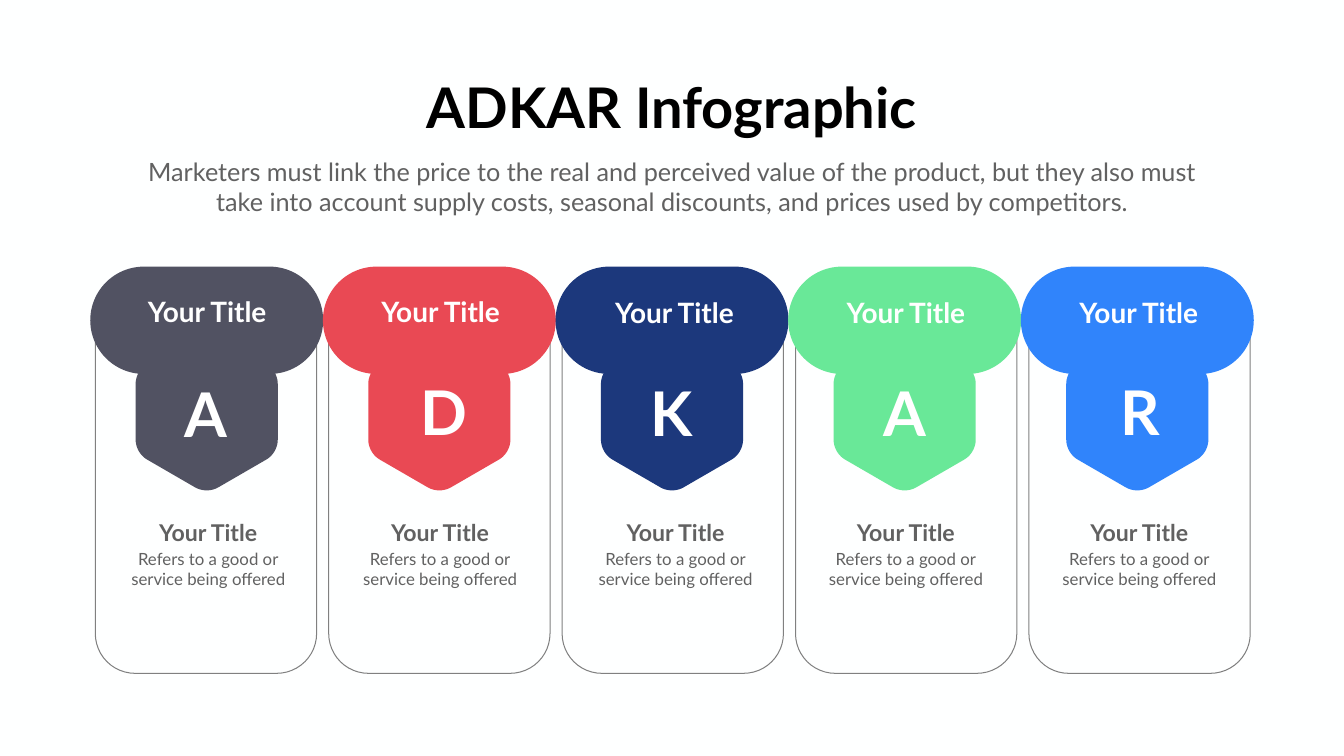
import pptx
import pptx.util
import pptx.dml.color
import pptx.enum.shapes
import pptx.enum.text

Inches = pptx.util.Inches
Kind = pptx.enum.shapes.MSO_SHAPE

# Content
HEAD = "ADKAR Infographic"
INTRO = ("Marketers must link the price to the real and perceived value of the "
         "product, but they also must take into account supply costs, seasonal "
         "discounts, and prices used by competitors.")
TITLE = "Your Title"
NOTE = ["Refers to a good or", "service being offered"]
# letter, colour, then (centre x, top) of title and letter, centre x of note
STEPS = [
    ("A", "515262", (4.11, 5.8), (4.09, 7.4), 4.13),
    ("D", "E94954", (8.74, 5.8), (8.77, 7.37), 8.73),
    ("K", "1C387C", (13.38, 5.81), (13.33, 7.39), 13.4),
    ("A", "69E898", (17.97, 5.81), (17.94, 7.39), 17.97),
    ("R", "3084FB", (22.59, 5.82), (22.62, 7.37), 22.6),
]
GREY, WHITE = "616161", "FFFFFF"

# Badge corners as Bezier points around the badge centre
SIDE = [(1.41, 0.55), (1.41, 0.71), (1.32, 0.87), (1.18, 0.95)]
TIP = [(0.23, 1.5), (0.09, 1.58), (-0.09, 1.58), (-0.23, 1.5)]

deck = pptx.Presentation()
deck.slide_width, deck.slide_height = Inches(26.66), Inches(15)
slide = deck.slides.add_slide(deck.slide_layouts[6])
shapes = slide.shapes


def color(code):
    return pptx.dml.color.RGBColor.from_string(code)


def paint(shape, fill=None, line=None):
    shape.shadow.inherit = False
    if fill:
        shape.fill.solid()
        shape.fill.fore_color.rgb = color(fill)
    else:
        shape.fill.background()
    if line:
        shape.line.color.rgb = color(line)
        shape.line.width = pptx.util.Pt(1.45)
    else:
        shape.line.fill.background()


def write(lines, mid, top, width, height, size, ink=GREY, bold=False, wrap=True):
    """Centre lines of text on the x position mid."""
    box = shapes.add_textbox(Inches(mid - width / 2), Inches(top),
                             Inches(width), Inches(height))
    frame = box.text_frame
    frame.word_wrap = wrap
    frame.text = "\n".join(lines)
    for para in frame.paragraphs:
        para.alignment = pptx.enum.text.PP_ALIGN.CENTER
        font = para.runs[0].font
        font.name, font.size, font.bold = "Lato", pptx.util.Pt(size), bold
        font.color.rgb = color(ink)


def block(kind, mid, top, width, height):
    return shapes.add_shape(kind, Inches(mid - width / 2), Inches(top),
                            Inches(width), Inches(height))


def curve(ends, steps=10):
    """Sample a cubic Bezier curve."""
    a, b, c, d = ends
    for i in range(steps + 1):
        t = i / steps
        u = 1 - t
        yield tuple(u**3 * a[k] + 3 * u * u * t * b[k] + 3 * u * t * t * c[k]
                    + t**3 * d[k] for k in (0, 1))


def badge(mid, level, fill):
    """Draw a rounded hexagon: lower half, then the same half turned around."""
    left = [(-x, y) for x, y in reversed(SIDE)]
    half = [dot for part in (SIDE, TIP, left) for dot in curve(part)]
    ring = half + [(-x, -y) for x, y in half]
    dots = [(Inches(mid + x), Inches(level + y)) for x, y in ring]
    pen = shapes.build_freeform(*dots[0], scale=1.0)
    pen.add_line_segments(dots[1:], close=True)
    paint(pen.convert_to_shape(), fill)


# Background and heading
slide.background.fill.solid()
slide.background.fill.fore_color.rgb = color("FEFFFF")
write([HEAD], 13.33, 1.39, 10.14, 1.45, 80, ink="000000", bold=True, wrap=False)
write([INTRO], 13.33, 3.05, 21.3, 1.31, 36)

# Columns
for i, (letter, fill, title, sign, note) in enumerate(STEPS):
    mid = 4.1 + 4.615 * i

    # Card, rounded at the bottom only
    card = block(Kind.ROUND_2_SAME_RECTANGLE, 4.085 + 4.63 * i, 6.71, 4.39, 6.65)
    card.adjustments[0], card.adjustments[1] = 0, 0.18
    paint(card, line="808080")

    # Pill and badge
    pill = block(Kind.ROUNDED_RECTANGLE, mid, 5.29, 4.62, 2.13)
    pill.adjustments[0] = 0.5
    paint(pill, fill)
    badge(mid, 8.17, fill)

    # Words
    write([TITLE], *title, 2.7, 0.77, 40, ink=WHITE, bold=True)
    write([letter], *sign, 1.07, 1.58, 88, ink=WHITE, bold=True, wrap=False)
    write([TITLE], note, 10.24, 2.3, 0.66, 33, bold=True)
    write(NOTE, note, 10.84, 3.52, 0.91, 24)

deck.save("out.pptx")
